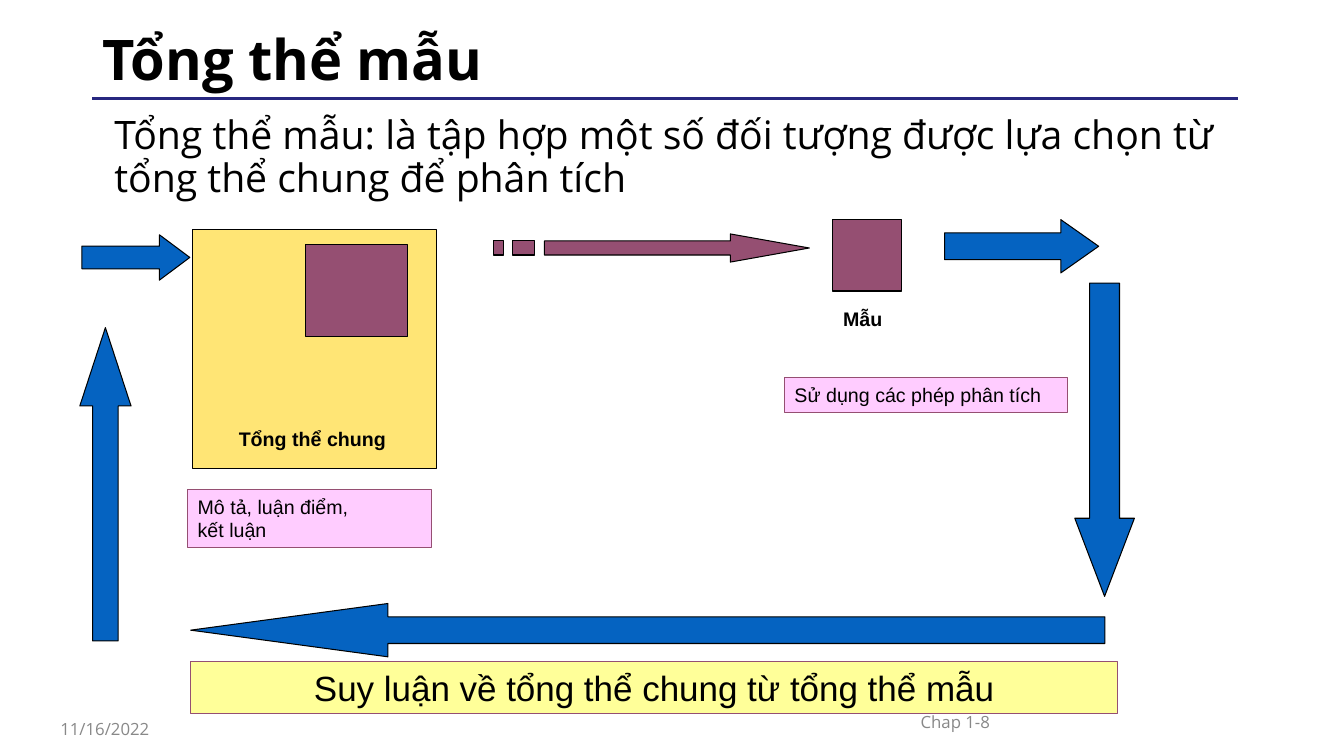
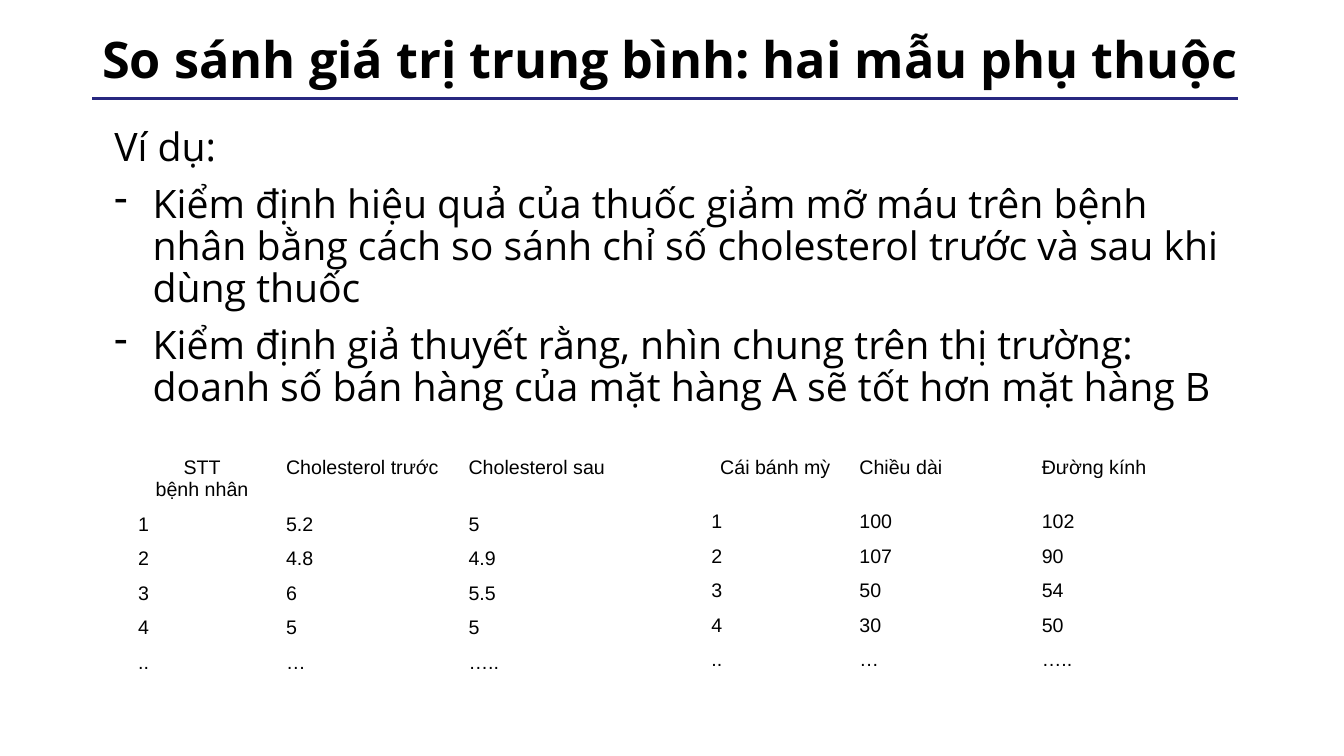
import dataclasses

import lxml.etree
import pptx
import pptx.dml.color
import pptx.enum.shapes
import pptx.enum.text
import pptx.oxml.ns
import pptx.util

SHAPE = pptx.enum.shapes.MSO_SHAPE
ALIGN = pptx.enum.text.PP_ALIGN
ANCHOR = pptx.enum.text.MSO_ANCHOR

COLUMNS, ROWS = 32, 18
CELL = 381000
BLANK_LAYOUT = 6

COLOURS = {
    "text": "000000",
    "muted": "888888",
    "rule": "272780",
    "population": "FFE575",
    "sample": "954F72",
    "note": "FFCCFF",
    "banner": "FFFF99",
    "arrow": "0563C1",
}
HEADING_FONT = "Open Sans"
LABEL_FONT = "Arial"


@dataclasses.dataclass
class Box:
    left: float
    top: float
    width: float
    height: float

    def inner(self, left, top, width, height):
        return Box(self.left + left, self.top + top, width, height)

    def point(self, across, down):
        return (round((self.left + across * self.width) * CELL),
                round((self.top + down * self.height) * CELL))

    def emu(self):
        return [round(length * CELL) for length in
                (self.left, self.top, self.width, self.height)]


PAGE = Box(0, 0, COLUMNS, ROWS)


def colour(name):
    return pptx.dml.color.RGBColor.from_string(COLOURS[name])


def add_span(para, text, size, font=LABEL_FONT, bold=False, tint="text"):
    span = para.add_run()
    span.text = text
    span.font.size = pptx.util.Pt(size)
    span.font.name = font
    span.font.bold = bold
    span.font.color.rgb = colour(tint)


def write_lines(frame, lines, size, align=ALIGN.LEFT, **style):
    for index, line in enumerate(lines):
        para = frame.add_paragraph() if index else frame.paragraphs[0]
        para.alignment = align
        add_span(para, line, size, **style)


def add_text(page, box, lines, size, anchor=ANCHOR.TOP, wrap=True, **style):
    frame = page.shapes.add_textbox(*box.emu()).text_frame
    frame.word_wrap = wrap
    frame.vertical_anchor = anchor
    write_lines(frame, lines, size, **style)
    return frame


def paint(shape, fill, line="text"):
    shape.shadow.inherit = False
    shape.fill.solid()
    shape.fill.fore_color.rgb = colour(fill)
    shape.line.color.rgb = colour(line)
    shape.line.width = pptx.util.Pt(0.75)


def add_block(page, box, fill, line="text", kind=SHAPE.RECTANGLE):
    block = page.shapes.add_shape(kind, *box.emu())
    paint(block, fill, line)
    return block


def add_note(page, box, fill, lines, size=14, align=ALIGN.LEFT):
    frame = add_block(page, box, fill, "sample").text_frame
    frame.word_wrap = True
    frame.vertical_anchor = ANCHOR.TOP
    write_lines(frame, lines, size, align)


def add_arrow(page, box, kind, head):
    arrow = add_block(page, box, "arrow", kind=kind)
    arrow.adjustments[0] = 0.5
    arrow.adjustments[1] = head


def add_striped_arrow(page, box):
    head = [(0.75, 0), (0.75, 0.25), (0.16, 0.25), (0.16, 0.75),
            (0.75, 0.75), (0.75, 1), (1, 0.5)]
    stripes = [[(left, 0.25), (left, 0.75), (right, 0.75), (right, 0.25)]
               for left, right in ((0.06, 0.13), (0, 0.03))]
    builder = page.shapes.build_freeform(*box.point(*head[0]))
    builder.add_line_segments([box.point(*spot) for spot in head[1:]])
    for stripe in stripes:
        corners = [box.point(*spot) for spot in stripe]
        builder.move_to(*corners[0])
        builder.add_line_segments(corners[1:])
    paint(builder.convert_to_shape(), "sample")


def add_heading(page, box, text, size):
    frame = add_text(page, box, [text], size, ANCHOR.MIDDLE,
                     font=HEADING_FONT, bold=True)
    frame.paragraphs[0].line_spacing = 0.9
    rule_box = box.inner(0, 1.94, 27.27, 0)
    rule = page.shapes.add_connector(
        pptx.enum.shapes.MSO_CONNECTOR.STRAIGHT,
        *rule_box.point(0, 0), *rule_box.point(1, 0))
    rule.line.color.rgb = colour("rule")
    rule.line.width = pptx.util.Pt(2)
    lxml.etree.SubElement(rule._element.spPr,
                          pptx.oxml.ns.qn("a:effectLst"))


def set_indent(para, margin, hanging=0.0):
    properties = para._p.get_or_add_pPr()
    properties.set("marL", str(pptx.util.Inches(margin)))
    properties.set("indent", str(pptx.util.Inches(-hanging)))
    return properties


def set_bullet(para, mark):
    properties = set_indent(para, 0.5, 0.38)
    bullet = lxml.etree.SubElement(properties, pptx.oxml.ns.qn("a:buChar"))
    bullet.set("char", mark)


def add_body(page, box, intro, bullets=()):
    frame = page.shapes.add_textbox(*box.emu()).text_frame
    frame.word_wrap = True
    for index, text in enumerate([intro, *bullets]):
        para = frame.add_paragraph() if index else frame.paragraphs[0]
        if index:
            set_bullet(para, "-")
            para.space_before = pptx.util.Pt(10)
        else:
            set_indent(para, 0.12)
        para.line_spacing = 0.9
        add_span(para, text, 28, HEADING_FONT)


def add_footer(page, box, date, number):
    style = {"font": HEADING_FONT, "tint": "muted"}
    add_text(page, box.inner(0, 0.29, 5.59, 0.96), [date], 12,
             ANCHOR.MIDDLE, **style)
    add_text(page, box.inner(17.62, 0, 4.99, 1.22), [number], 12,
             ANCHOR.MIDDLE, align=ALIGN.RIGHT, **style)


def add_sampling_cycle(page, box):
    add_block(page, box.inner(2.69, 0.24, 5.81, 5.69), "population")
    add_block(page, box.inner(5.38, 0.6, 2.42, 2.18), "sample")
    add_block(page, box.inner(17.93, 0, 1.63, 1.7), "sample")
    add_text(page, box.inner(3.55, 4.82, 4.01, 0.82), ["Tổng thể chung"],
             14, wrap=False, bold=True)
    add_text(page, box.inner(17.5, 1.97, 2.28, 0.82), ["Mẫu"],
             14, align=ALIGN.CENTER, bold=True)
    add_note(page, box.inner(2.57, 6.43, 5.81, 1.37), "note",
             ["Mô tả, luận điểm,", "kết luận"])
    add_note(page, box.inner(16.78, 3.77, 6.74, 0.82), "note",
             ["Sử dụng các phép phân tích"])
    add_note(page, box.inner(2.64, 10.51, 22.06, 1.25), "banner",
             ["Suy luận về tổng thể chung từ tổng thể mẫu"], 25, ALIGN.CENTER)
    add_striped_arrow(page, box.inner(9.86, 0.34, 7.51, 0.67))
    for kind, head, place in (
        (SHAPE.RIGHT_ARROW, 0.71, (20.59, 0, 3.67, 1.27)),
        (SHAPE.DOWN_ARROW, 1.31, (23.69, 1.51, 1.42, 7.46)),
        (SHAPE.LEFT_ARROW, 3.7, (2.64, 9.14, 21.77, 1.27)),
        (SHAPE.UP_ARROW, 1.53, (0, 2.57, 1.22, 7.46)),
        (SHAPE.RIGHT_ARROW, 0.67, (0.05, 0.36, 2.57, 1.08)),
    ):
        add_arrow(page, box.inner(*place), kind, head)


def add_data_table(page, box, header, records):
    rows = [header, *records]
    table = page.shapes.add_table(len(rows), len(header), *box.emu()).table
    table.first_row = False
    table.horz_banding = False
    for column, share in zip(table.columns, (0.3, 0.37, 0.33)):
        column.width = round(box.width * share * CELL)
    header_height = 1.3
    row_height = (box.height - header_height) / len(records)
    for index, row in enumerate(rows):
        table.rows[index].height = round(
            (row_height if index else header_height) * CELL)
        for position, text in enumerate(row):
            cell = table.cell(index, position)
            cell.fill.background()
            centred = index == 0 and position == 0
            write_lines(cell.text_frame, text.split("\n"), 14,
                        ALIGN.CENTER if centred else ALIGN.LEFT)


def new_page(deck, title, size):
    page = deck.slides.add_slide(deck.slide_layouts[BLANK_LAYOUT])
    add_heading(page, PAGE.inner(2.2, 0.41, 27.6, 2.14), title, size)
    return page


def build_sample_page(deck):
    page = new_page(deck, "Tổng thể mẫu", 40)
    add_body(page, PAGE.inner(2.2, 2.64, 26.95, 2.5),
             "Tổng thể mẫu: là tập hợp một số đối tượng được lựa chọn từ "
             "tổng thể chung để phân tích")
    add_sampling_cycle(page, PAGE.inner(1.9, 5.23, 25.11, 11.76))
    add_footer(page, PAGE.inner(1.2, 16.58, 22.61, 1.25),
               "11/16/2022", "Chap 1-8")


def build_comparison_page(deck):
    page = new_page(deck, "So sánh giá trị trung bình: hai mẫu phụ thuộc", 36)
    add_body(page, PAGE.inner(2.2, 2.93, 27.6, 7.5), "Ví dụ:", [
        "Kiểm định hiệu quả của thuốc giảm mỡ máu trên bệnh nhân bằng cách "
        "so sánh chỉ số cholesterol trước và sau khi dùng thuốc",
        "Kiểm định giả thuyết rằng, nhìn chung trên thị trường: doanh số bán "
        "hàng của mặt hàng A sẽ tốt hơn mặt hàng B",
    ])
    ending = ("..", "…", "…..")
    tables = (
        (("STT\nbệnh nhân", "Cholesterol trước", "Cholesterol sau"),
         (("1", "5.2", "5"), ("2", "4.8", "4.9"),
          ("3", "6", "5.5"), ("4", "5", "5"), ending)),
        (("Cái bánh mỳ", "Chiều dài", "Đường kính"),
         (("1", "100", "102"), ("2", "107", "90"),
          ("3", "50", "54"), ("4", "30", "50"), ending)),
    )
    for index, (header, records) in enumerate(tables):
        place = PAGE.inner(3.05 + 13.65 * index, 10.75, 11.74, 5.4)
        add_data_table(page, place, header, records)


def main():
    deck = pptx.Presentation()
    deck.slide_width = COLUMNS * CELL
    deck.slide_height = ROWS * CELL
    build_sample_page(deck)
    build_comparison_page(deck)
    deck.save("out.pptx")


if __name__ == "__main__":
    main()
